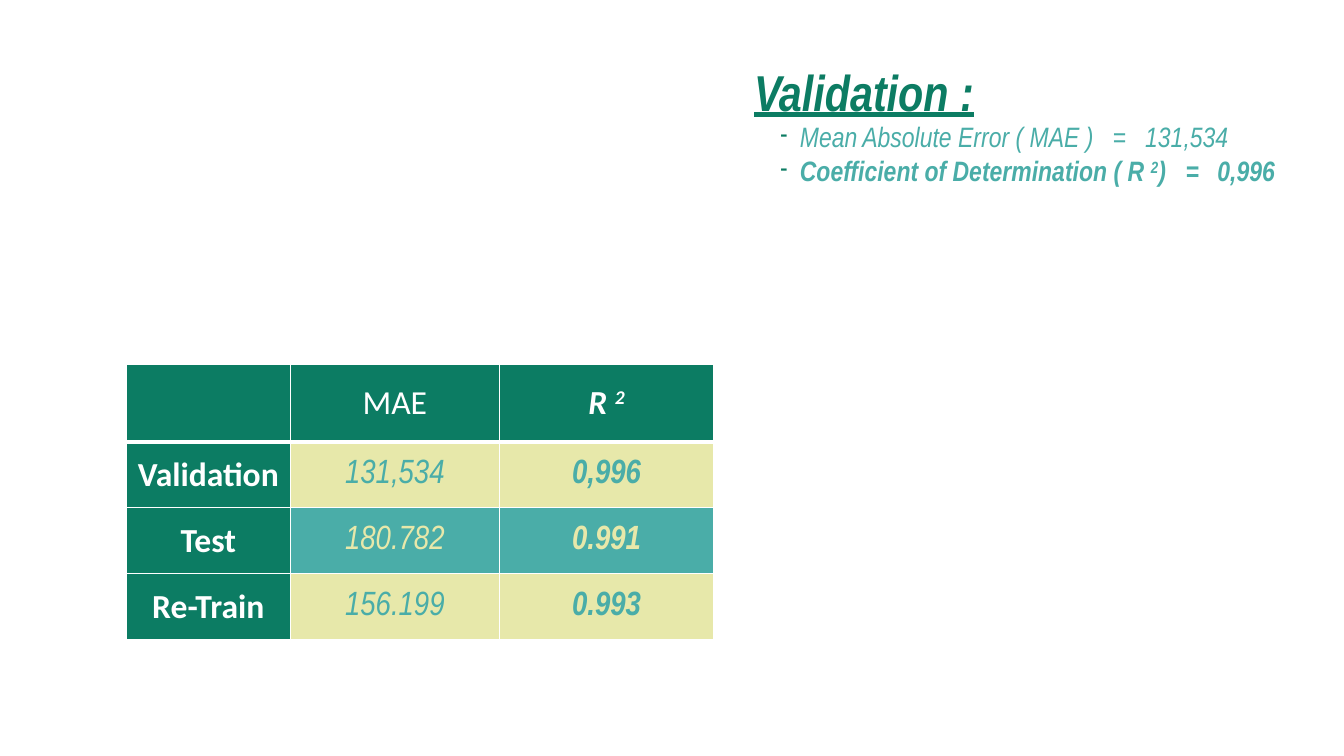
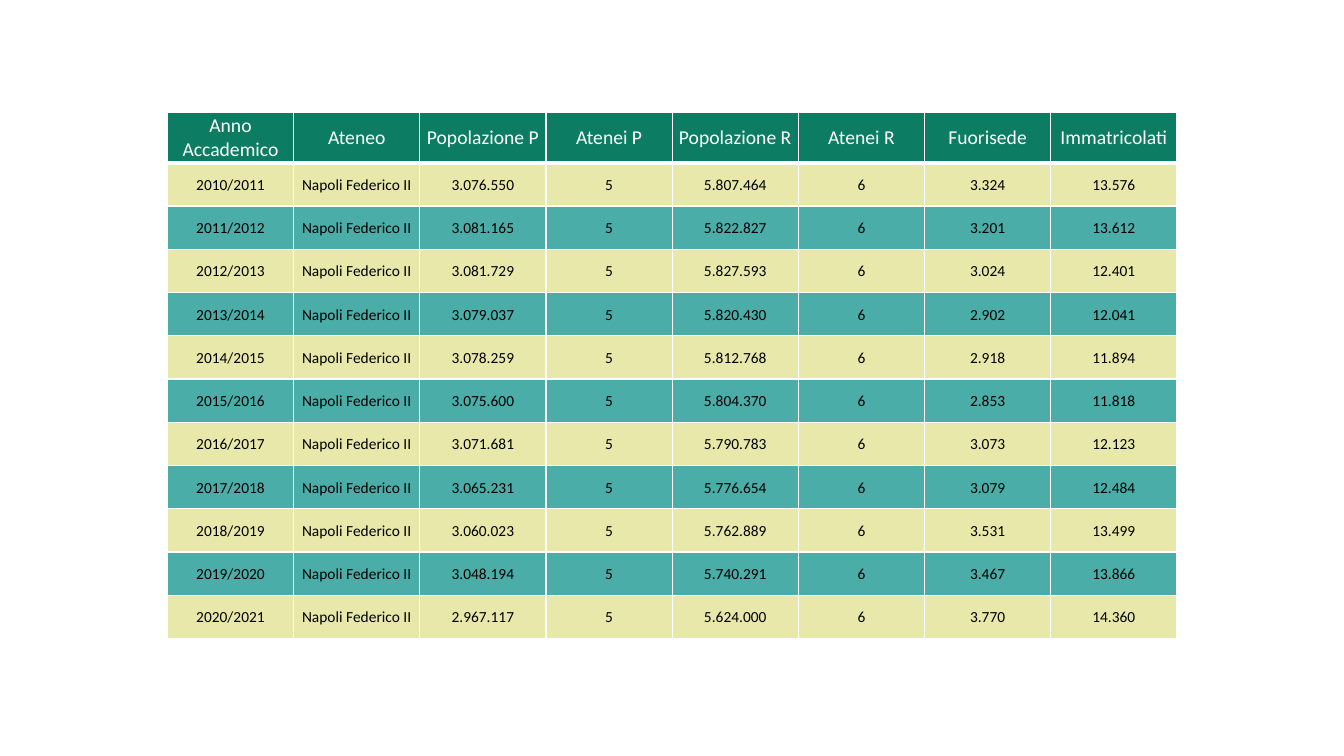
from lxml.etree import SubElement
from pptx import Presentation
from pptx.dml.color import RGBColor
from pptx.enum.text import MSO_ANCHOR, MSO_AUTO_SIZE, PP_ALIGN
from pptx.oxml.ns import qn
from pptx.util import Cm, Pt

GREEN = RGBColor(0x0C, 0x7C, 0x63)
TEAL = RGBColor(0x4A, 0xAD, 0xA8)
CREAM = RGBColor(0xE7, 0xE8, 0xAA)
WHITE = RGBColor(0xFF, 0xFF, 0xFF)
BLACK = RGBColor(0x00, 0x00, 0x00)
BANDS = (CREAM, TEAL)
NARROW = "Arial Narrow"
PLAIN = "Calibri"
TITLE_ONLY, BLANK = 5, 6

SCORES = (
    ("Validation", "131,534", "0,996"),
    ("Test", "180.782", "0.991"),
    ("Re-Train", "156.199", "0.993"),
)
ENROLMENT_HEADINGS = (
    "Anno Accademico", "Ateneo", "Popolazione P", "Atenei P",
    "Popolazione R", "Atenei R", "Fuorisede", "Immatricolati",
)
FIRST_YEAR = 2010
ENROLMENTS = (
    ("3.076.550", "5.807.464", "3.324", "13.576"),
    ("3.081.165", "5.822.827", "3.201", "13.612"),
    ("3.081.729", "5.827.593", "3.024", "12.401"),
    ("3.079.037", "5.820.430", "2.902", "12.041"),
    ("3.078.259", "5.812.768", "2.918", "11.894"),
    ("3.075.600", "5.804.370", "2.853", "11.818"),
    ("3.071.681", "5.790.783", "3.073", "12.123"),
    ("3.065.231", "5.776.654", "3.079", "12.484"),
    ("3.060.023", "5.762.889", "3.531", "13.499"),
    ("3.048.194", "5.740.291", "3.467", "13.866"),
    ("2.967.117", "5.624.000", "3.770", "14.360"),
)


def write(paragraph, text, *, size, color, font=PLAIN, bold=False,
          italic=False, underline=False, align=PP_ALIGN.LEFT):
    """Write text into a paragraph, raising the parts between carets."""
    paragraph.alignment = align
    for index, part in enumerate(text.split("^")):
        if not part:
            continue
        run = paragraph.add_run()
        run.text = part
        run.font.name = font
        run.font.size = Pt(size)
        run.font.color.rgb = color
        run.font.bold = bold
        run.font.italic = italic
        run.font.underline = underline
        if index % 2:
            run._r.get_or_add_rPr().set("baseline", "30000")


def add_dash(paragraph, tab_stops):
    """Give a paragraph a hanging green dash and tab stops."""
    properties = paragraph._p.get_or_add_pPr()
    properties.set("marL", str(Cm(1.16)))
    properties.set("indent", str(-Cm(0.5)))
    color = SubElement(properties, qn("a:buClr"))
    SubElement(color, qn("a:srgbClr"), val=str(GREEN))
    SubElement(properties, qn("a:buFont"), typeface=NARROW)
    SubElement(properties, qn("a:buChar"), char="-")
    tabs = SubElement(properties, qn("a:tabLst"))
    for stop in tab_stops:
        SubElement(tabs, qn("a:tab"), pos=str(Cm(stop)), algn="l")


def add_borders(cell, bottom):
    """Draw white lines around a cell."""
    properties = cell._tc.get_or_add_tcPr()
    for side, width in (("L", 1), ("R", 1), ("T", 1), ("B", bottom)):
        line = SubElement(properties, qn(f"a:ln{side}"), w=str(Pt(width)))
        fill = SubElement(line, qn("a:solidFill"))
        SubElement(fill, qn("a:srgbClr"), val=str(WHITE))


class Deck:
    """Hold the presentation, its style and the current slide."""

    def __init__(self):
        """Start a wide presentation."""
        self.presentation = Presentation()
        self.presentation.slide_width = Cm(33.87)
        self.presentation.slide_height = Cm(19.05)
        self.slide = None

    def add_slide(self, layout):
        """Add a slide and make it current."""
        layouts = self.presentation.slide_layouts
        self.slide = self.presentation.slides.add_slide(layouts[layout])

    def add_title(self, text, left, top, width, height):
        """Place and fill the title of the current slide."""
        title = self.slide.shapes.title
        title.left, title.top = Cm(left), Cm(top)
        title.width, title.height = Cm(width), Cm(height)
        frame = title.text_frame
        frame.auto_size = MSO_AUTO_SIZE.NONE
        frame.vertical_anchor = MSO_ANCHOR.TOP
        write(frame.paragraphs[0], text, size=36, color=GREEN, font=NARROW,
              bold=True, italic=True, underline=True)

    def add_dash_list(self, items, left, top, width, height):
        """Add a dashed list of (text, bold, tab stops) items."""
        box = self.slide.shapes.add_textbox(
            Cm(left), Cm(top), Cm(width), Cm(height))
        frame = box.text_frame
        frame.word_wrap = True
        frame.margin_top = frame.margin_bottom = 0
        for index, (text, bold, tab_stops) in enumerate(items):
            paragraph = frame.add_paragraph() if index else frame.paragraphs[0]
            add_dash(paragraph, tab_stops)
            write(paragraph, text, size=20, color=TEAL, font=NARROW,
                  bold=bold, italic=True)

    def add_table(self, left, top, widths, heights):
        """Add a table with the given column widths and row heights."""
        table = self.slide.shapes.add_table(
            len(heights), len(widths), Cm(left), Cm(top),
            Cm(sum(widths)), Cm(sum(heights))).table
        table.horz_banding = False
        for column, width in zip(table.columns, widths):
            column.width = Cm(width)
        for row, height in zip(table.rows, heights):
            row.height = Cm(height)
        return table

    def fill_cell(self, cell, text, fill, bottom=1, **text_format):
        """Fill, border and write one centred cell."""
        add_borders(cell, bottom)
        cell.fill.solid()
        cell.fill.fore_color.rgb = fill
        cell.vertical_anchor = MSO_ANCHOR.MIDDLE
        cell.margin_left = cell.margin_right = cell.margin_top = Cm(0.03)
        cell.margin_bottom = 0
        write(cell.text_frame.paragraphs[0], text,
              align=PP_ALIGN.CENTER, **text_format)


def build_validation(deck):
    """Build the slide with the validation scores."""
    deck.add_slide(TITLE_ONLY)
    deck.add_title("Validation :", 18.75, 1.42, 14.22, 1.6)
    deck.add_dash_list((
        ("Mean Absolute Error ( MAE )\t=\t131,534", False, (9.04, 9.86)),
        ("Coefficient of Determination ( R ^2^)\t=\t0,996", True,
         (10.88, 11.68)),
    ), 18.75, 3.02, 14.22, 1.9)

    table = deck.add_table(3.18, 9.17, (4.14, 5.26, 5.41),
                           (1.96, 1.66, 1.66, 1.66))
    for column, heading in enumerate(("", "MAE", "R ^2^")):
        strong = column == 2
        deck.fill_cell(table.cell(0, column), heading, GREEN, bottom=3,
                       size=24, color=WHITE, bold=strong, italic=strong)
    for row, (name, *values) in enumerate(SCORES):
        deck.fill_cell(table.cell(row + 1, 0), name, GREEN,
                       size=24, color=WHITE, bold=True)
        for column, value in enumerate(values, 1):
            deck.fill_cell(table.cell(row + 1, column), value, BANDS[row % 2],
                           size=24, color=BANDS[(row + 1) % 2], font=NARROW,
                           bold=column == 2, italic=True)


def build_enrolments(deck):
    """Build the slide with the yearly enrolments."""
    deck.add_slide(BLANK)
    table = deck.add_table(4.22, 2.82, [3.18] * len(ENROLMENT_HEADINGS),
                           [1.28] + [1.09] * len(ENROLMENTS))
    for column, heading in enumerate(ENROLMENT_HEADINGS):
        deck.fill_cell(table.cell(0, column), heading, GREEN, bottom=3,
                       size=14, color=WHITE)
    for row, (province, region, away, enrolled) in enumerate(ENROLMENTS):
        year = FIRST_YEAR + row
        values = (f"{year}/{year + 1}", "Napoli Federico II", province, "5",
                  region, "6", away, enrolled)
        for column, value in enumerate(values):
            deck.fill_cell(table.cell(row + 1, column), value, BANDS[row % 2],
                           size=11, color=BLACK)


def main():
    """Build and save the presentation."""
    deck = Deck()
    build_validation(deck)
    build_enrolments(deck)
    deck.presentation.save("out.pptx")


if __name__ == "__main__":
    main()
